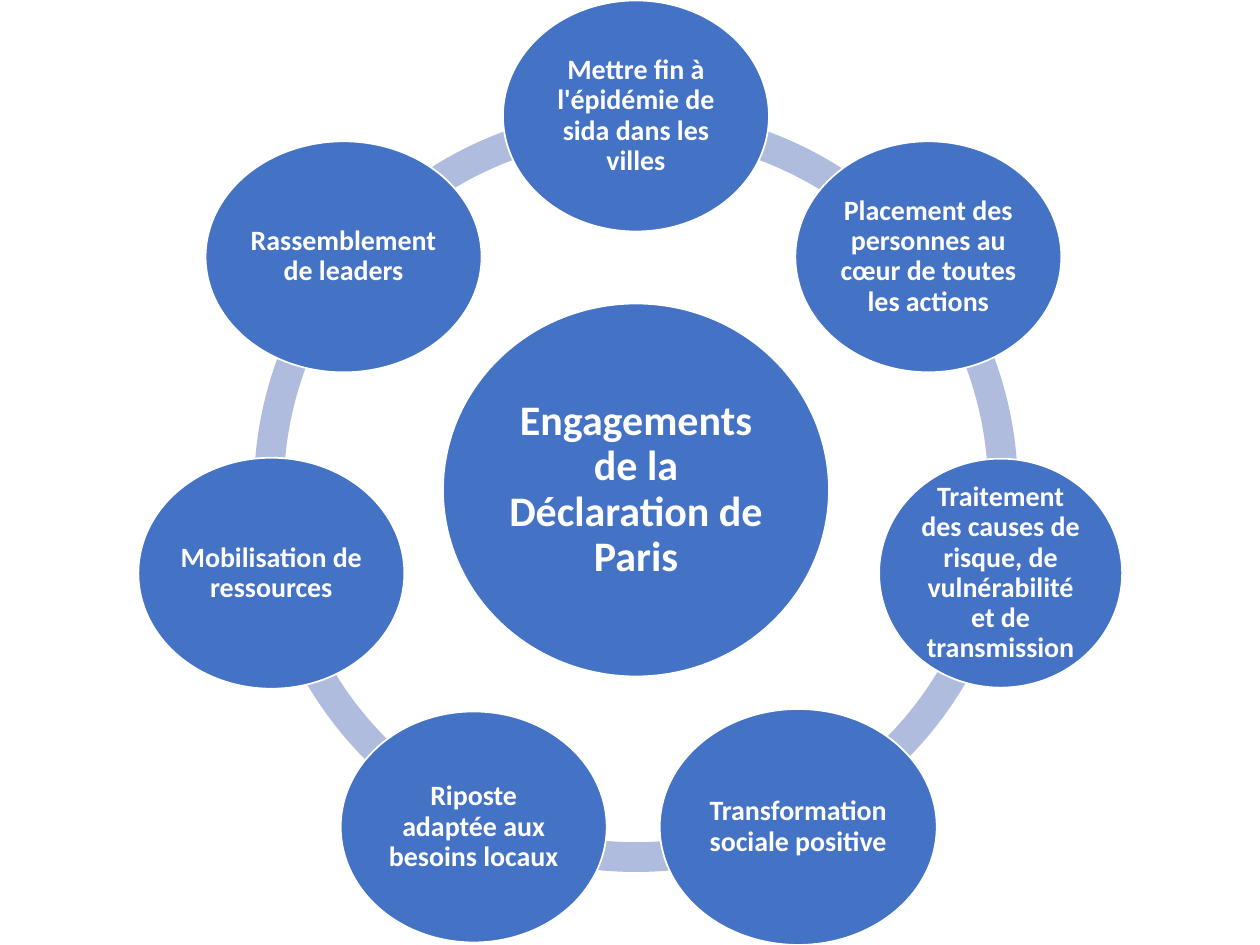
"""Radial cycle: a central theme surrounded by seven commitments."""
import math
from dataclasses import dataclass

from lxml import etree
from pptx import Presentation
from pptx.dml.color import RGBColor
from pptx.enum import shapes, text
from pptx import util as u

PX = 914400 / 126  # EMU in one px


@dataclass(frozen=True)
class Theme:
    font: str = "Calibri"
    bubble: str = "4472C4"
    ring: str = "B0BCDE"
    light: str = "FFFFFF"
    hub_size: int = 24
    node_size: int = 16


@dataclass(frozen=True)
class Bubble:
    label: str
    width: int = 266
    height: int = 231


THEME = Theme()
PAGE_WIDTH, PAGE_HEIGHT = 1260, 945
CENTER_X, CENTER_Y = 636, 490
RING_DIAMETER = 764
RING_THICKNESS = 0.039  # share of the diameter
ORBIT = 374

HUB = Bubble("Engagements de la Déclaration de Paris", 386, 373)
NODES = [  # clockwise from the top
    Bubble("Mettre fin à l'épidémie de sida dans les villes"),
    Bubble("Placement des personnes au cœur de toutes les actions"),
    Bubble("Traitement des causes de risque, de vulnérabilité et de transmission", 243, 229),
    Bubble("Transformation sociale positive", 277, 236),
    Bubble("Riposte adaptée aux besoins locaux"),
    Bubble("Mobilisation de ressources"),
    Bubble("Rassemblement de leaders", 276),
]
STEP = 360 / len(NODES)


def px(length: float) -> u.Emu:
    return u.Emu(round(length * PX))


def add_centered(page, kind, x: float, y: float, width: int, height: int, fill: str):
    """Add a filled, shadowless shape centred on x, y."""
    shape = page.shapes.add_shape(
        kind, px(x - width / 2), px(y - height / 2), px(width), px(height))
    shape.shadow.inherit = False
    shape.fill.solid()
    shape.fill.fore_color.rgb = RGBColor.from_string(fill)
    shape.line.fill.background()
    return shape


def write(box, content: str, *, size: int, inset: int, color: str = THEME.light) -> None:
    frame = box.text_frame
    frame.word_wrap = True
    frame.vertical_anchor = text.MSO_ANCHOR.MIDDLE
    frame.margin_left = frame.margin_right = px(inset)
    frame.margin_top = frame.margin_bottom = px(inset)
    para = frame.paragraphs[0]
    para.alignment = text.PP_ALIGN.CENTER
    para.line_spacing = 0.9
    span = para.add_run()
    span.text = content
    span.font.name = THEME.font
    span.font.size = u.Pt(size)
    span.font.bold = True
    span.font.color.rgb = RGBColor.from_string(color)


def add_arc(page, start: float) -> None:
    """Add one ring segment, from start degrees clockwise."""
    arc = add_centered(page, shapes.MSO_SHAPE.BLOCK_ARC, CENTER_X, CENTER_Y,
                       RING_DIAMETER, RING_DIAMETER, THEME.ring)
    # Angles are stored in 1/60000 degree, adjustments in 1/100000
    arc.adjustments[0] = start % 360 * 0.6
    arc.adjustments[1] = (start + STEP) % 360 * 0.6
    arc.adjustments[2] = RING_THICKNESS


def add_bubble(page, bubble: Bubble, x: float, y: float, *, size: int, inset: int) -> None:
    oval = add_centered(page, shapes.MSO_SHAPE.OVAL, x, y,
                        bubble.width, bubble.height, THEME.bubble)
    oval.line.color.rgb = RGBColor.from_string(THEME.light)
    oval.line.width = u.Pt(1)
    write(oval, bubble.label, size=size, inset=inset)


def main() -> None:
    deck = Presentation()
    deck.slide_width, deck.slide_height = px(PAGE_WIDTH), px(PAGE_HEIGHT)
    page = deck.slides.add_slide(deck.slide_layouts[6])
    angles = [270 + STEP * index for index in range(len(NODES))]

    # Ring
    for angle in angles:
        add_arc(page, angle)

    # Hub
    add_bubble(page, HUB, CENTER_X, CENTER_Y, size=THEME.hub_size, inset=4)

    # Commitments
    for node, angle in zip(NODES, angles):
        turn = math.radians(angle)
        add_bubble(page, node, CENTER_X + ORBIT * math.cos(turn),
                   CENTER_Y + ORBIT * math.sin(turn),
                   size=THEME.node_size, inset=3)

    deck.save("out.pptx")


if __name__ == "__main__":
    main()
